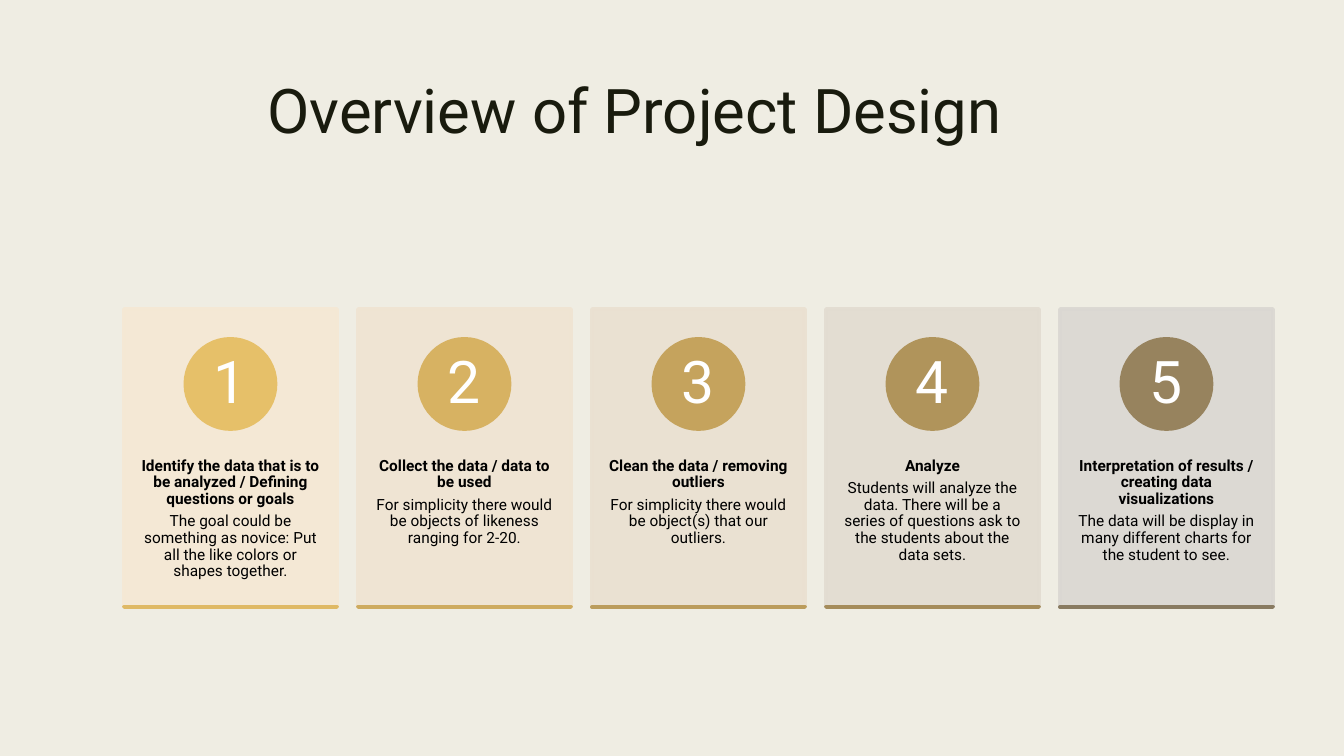
from dataclasses import dataclass

from lxml import etree
from pptx import Presentation
from pptx.dml.color import RGBColor
from pptx.enum.shapes import MSO_SHAPE
from pptx.enum.text import MSO_ANCHOR, PP_ALIGN
from pptx.oxml.ns import qn
from pptx.util import Pt

SCALE = 914400 / 100.8
RECT, OVAL = MSO_SHAPE.RECTANGLE, MSO_SHAPE.OVAL
TOP, MIDDLE = MSO_ANCHOR.TOP, MSO_ANCHOR.MIDDLE
CENTER = PP_ALIGN.CENTER


@dataclass(frozen=True)
class Theme:
    font: str = "Roboto"
    back: str = "EFEDE3"
    ink: str = "191B0E"
    text: str = "000000"
    white: str = "FFFFFF"
    title: float = 44
    digit: float = 42
    body: float = 11
    line: float = 2.75
    cards: tuple = ("F5E8D4", "F0E4D2", "EAE0D1", "E2DCD1", "DAD7D2")
    discs: tuple = ("E6C069", "D7B262", "C5A35D", "B0945B", "97835E")
    bars: tuple = ("DFB965", "CEAB5F", "BB9C5C", "A58C5B", "897B61")


THEME = Theme()

STEPS = [
    ("Identify the data that is to be analyzed / Defining questions or goals",
     "The goal could be something as novice: Put all the like colors or shapes together."),
    ("Collect the data / data to be used",
     "For simplicity there would be objects of likeness ranging for 2-20."),
    ("Clean the data / removing outliers",
     "For simplicity there would be object(s) that our outliers."),
    ("Analyze",
     "Students will analyze the data. There will be a series of questions ask to "
     "the students about the data sets."),
    ("Interpretation of results / creating data visualizations",
     "The data will be display in many different charts for the student to see."),
]


def px(n):
    return round(n * SCALE)


def rgb(code):
    return RGBColor.from_string(code)


def put(item, values):
    for name, value in values.items():
        setattr(item, name, value)


def block(slide, kind, box, color, alpha=100):
    shape = slide.shapes.add_shape(kind, *map(px, box))
    shape.shadow.inherit = False
    shape.fill.solid()
    shape.fill.fore_color.rgb = rgb(color)
    shape.line.color.rgb = rgb(color)
    shape.line.width = Pt(THEME.line)
    if alpha < 100:
        for node in shape.fill._xPr.iter(qn("a:srgbClr")):
            etree.SubElement(node, qn("a:alpha"), val=str(alpha * 1000))


def write(slide, box, lines, size, color, pads, anchor=TOP, ratio=0.9):
    frame = slide.shapes.add_textbox(*map(px, box)).text_frame
    left, top, right, bottom = map(px, pads)
    put(frame, {"word_wrap": True, "vertical_anchor": anchor,
                "margin_left": left, "margin_top": top,
                "margin_right": right, "margin_bottom": bottom})
    for i, (words, bold) in enumerate(lines):
        para = frame.add_paragraph() if i else frame.paragraphs[0]
        put(para, {"alignment": CENTER, "line_spacing": ratio, "space_after": Pt(4)})
        run = para.add_run()
        run.text = words
        put(run.font, {"name": THEME.font, "size": Pt(size), "bold": bold})
        run.font.color.rgb = rgb(color)


def heading(slide, box):
    write(slide, box, [("Overview of Project Design", False)],
          THEME.title, THEME.ink, (10, 5, 84, 5), ratio=0.89)


def card(slide, box, index):
    x, y, w, h = box
    disc, digit = 90, 64
    block(slide, RECT, box, THEME.cards[index], 90)
    title, body = STEPS[index]
    write(slide, (x, y + 113, w, 178), [(title, True), (body, False)],
          THEME.body, THEME.text, (16, 36, 16, 36))
    left, top = x + (w - disc) / 2, y + 30
    block(slide, OVAL, (left, top, disc, disc), THEME.discs[index])
    pad = (disc - digit) / 2
    write(slide, (left + pad, top + pad, digit, digit), [(str(index + 1), False)],
          THEME.digit, THEME.white, (7, 1, 7, 1), MIDDLE)
    block(slide, RECT, (x, y + h, w, 0), THEME.bars[index])


def cards(slide, box):
    x, y, w, h = box
    gap = 21
    count = len(STEPS)
    width = (w - gap * (count - 1)) / count
    for i in range(count):
        card(slide, (x + i * (width + gap), y, width, h), i)


def main():
    deck = Presentation()
    put(deck, {"slide_width": px(1344), "slide_height": px(756)})
    slide = deck.slides.add_slide(deck.slide_layouts[6])
    slide.background.fill.solid()
    slide.background.fill.fore_color.rgb = rgb(THEME.back)
    heading(slide, (71, 76, 1202, 163))
    cards(slide, (124, 309, 1149, 298))
    deck.save("out.pptx")


if __name__ == "__main__":
    main()
